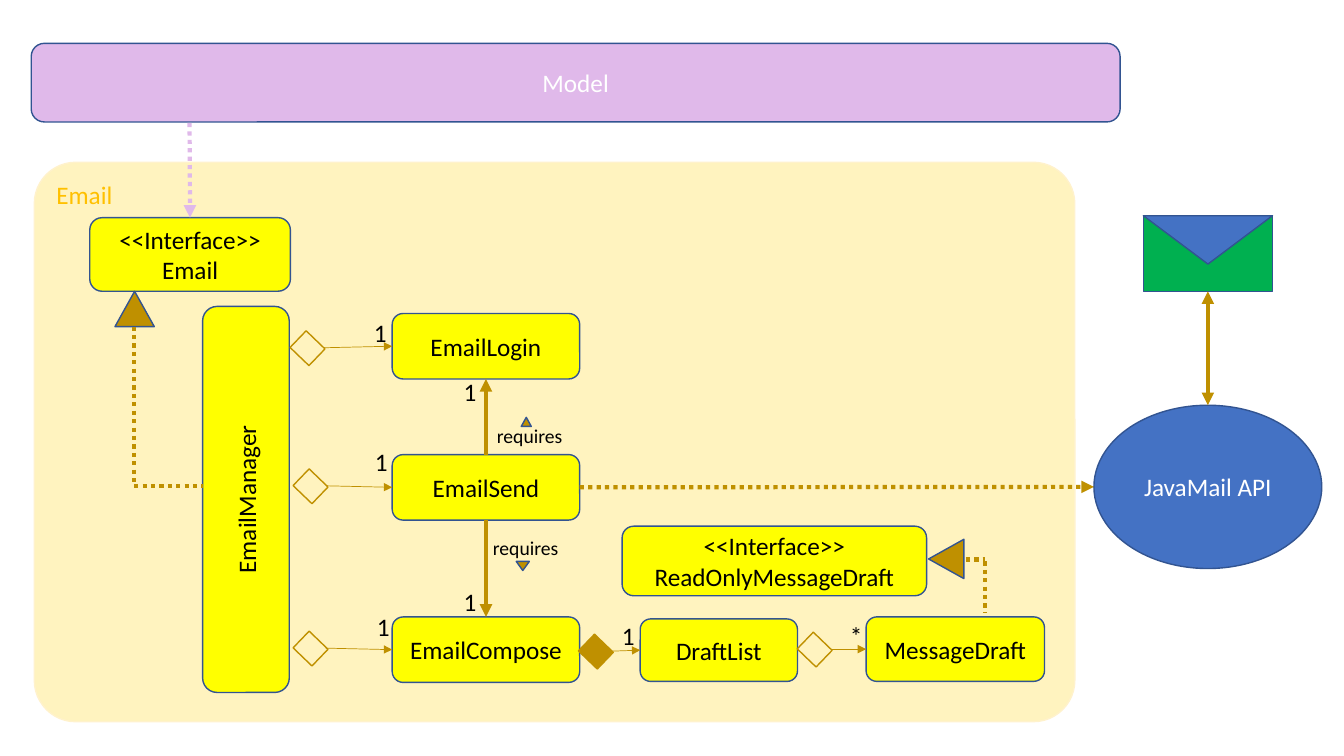
from lxml import etree
from pptx import Presentation
from pptx.dml.color import RGBColor
from pptx.enum.dml import MSO_LINE
from pptx.enum.shapes import MSO_CONNECTOR, MSO_SHAPE
from pptx.enum.text import MSO_ANCHOR, PP_ALIGN
from pptx.oxml.ns import qn
from pptx.util import Inches, Pt

ROUNDED = MSO_SHAPE.ROUNDED_RECTANGLE
RECTANGLE = MSO_SHAPE.RECTANGLE
TRIANGLE = MSO_SHAPE.ISOSCELES_TRIANGLE
OVAL = MSO_SHAPE.OVAL
STRAIGHT = MSO_CONNECTOR.STRAIGHT
DOTTED = MSO_LINE.ROUND_DOT
CENTER = PP_ALIGN.CENTER
LEFT_ALIGNED = PP_ALIGN.LEFT
MIDDLE = MSO_ANCHOR.MIDDLE
TOP_ANCHOR = MSO_ANCHOR.TOP
TOP, LEFT, BOTTOM, RIGHT = range(4)

COLORS = {
    name: RGBColor.from_string(value)
    for name, value in {
        "outline": "325491",
        "model": "E0B9EA",
        "panel": "FFF3BF",
        "panel_edge": "FFF2CC",
        "panel_title": "FFC000",
        "node": "FFFF00",
        "arrow": "BF9000",
        "envelope": "00B050",
        "external": "4472C4",
        "black": "000000",
        "white": "FFFFFF",
    }.items()
}
COLUMNS, ROWS = 13.33, 7.5
CELL = Inches(1)

presentation = Presentation()
presentation.slide_width = int(COLUMNS * CELL)
presentation.slide_height = int(ROWS * CELL)
slide = presentation.slides.add_slide(presentation.slide_layouts[6])


def add_node(frame, text="", kind=ROUNDED, fill="node", line="outline",
             color="black", rotation=0, parent=slide):
    shape = parent.shapes.add_shape(kind, *[int(length * CELL) for length in frame])
    shape.shadow.inherit = False
    shape.rotation = rotation
    shape.fill.solid()
    shape.fill.fore_color.rgb = COLORS[fill]
    shape.line.color.rgb = COLORS[line]
    shape.line.width = Pt(1)
    if text:
        shape.text_frame.text = text
        shape.text_frame.vertical_anchor = MIDDLE
        for paragraph in shape.text_frame.paragraphs:
            paragraph.alignment = CENTER
            paragraph.font.name = "Calibri"
            paragraph.font.size = Pt(18)
            paragraph.font.color.rgb = COLORS[color]
    return shape


def add_link(start, end, width=3, color="arrow", dotted=False, ends=("tailEnd",)):
    connector = slide.shapes.add_connector(STRAIGHT, 0, 0, 0, 0)
    (connector.begin_x, connector.begin_y), (connector.end_x, connector.end_y) = [
        (0, 0) if not isinstance(point[0], float)
        else [int(length * CELL) for length in point]
        for point in (start, end)
    ]
    if not isinstance(start[0], float):
        connector.begin_connect(*start)
    if not isinstance(end[0], float):
        connector.end_connect(*end)
    connector.line.color.rgb = COLORS[color]
    connector.line.width = Pt(width)
    if dotted:
        connector.line.dash_style = DOTTED
    line = connector.line._get_or_add_ln()
    for arrowhead in ends:
        etree.SubElement(line, qn("a:" + arrowhead), type="triangle")
    etree.SubElement(connector._element.spPr, qn("a:effectLst"))


add_node((0.31, 0.43, 10.8, 0.78), "Model", fill="model", color="white")
panel = add_node((0.34, 1.61, 10.32, 5.55), "Email", fill="panel",
                 line="panel_edge", color="panel_title")
panel.adjustments[0] = 0.074
panel.text_frame.vertical_anchor = TOP_ANCHOR
panel.text_frame.paragraphs[0].alignment = LEFT_ALIGNED

interface = add_node((0.89, 2.16, 1.99, 0.73), "<<Interface>>\nEmail")
manager = add_node((2.01, 3.04, 0.86, 3.83), "EmailManager")
manager.text_frame._txBody.bodyPr.set("vert", "vert270")
login, send, compose = [
    add_node((3.89, top, 1.86, 0.65), text)
    for text, top in [("EmailLogin", 3.11), ("EmailSend", 4.51), ("EmailCompose", 6.12)]
]
draft_list = add_node((6.35, 6.14, 1.56, 0.62), "DraftList")
message_draft = add_node((8.59, 6.12, 1.77, 0.64), "MessageDraft")
add_node((6.17, 5.22, 3.02, 0.69), "<<Interface>>\nReadOnlyMessageDraft")
java_mail = add_node((10.85, 4.02, 2.26, 1.62), "JavaMail API", OVAL,
                     fill="external", color="white")

for frame, rotation in [
    ((1.14, 2.89, 0.39, 0.35), 0),
    ((9.19, 5.37, 0.39, 0.35), 270),
    ((5.17, 4.14, 0.1, 0.09), 0),
    ((5.12, 5.57, 0.13, 0.09), 180),
]:
    add_node(frame, kind=TRIANGLE, fill="arrow", rotation=rotation)

for left, top, fill, start, target in [
    (2.92, 3.34, "panel", (3.21, 3.45), login),
    (2.95, 4.71, "panel", (3.24, 4.82), send),
    (2.95, 6.32, "panel", (3.23, 6.43), compose),
    (5.78, 6.35, "arrow", (6.06, 6.46), draft_list),
    (7.95, 6.33, "panel", (8.24, 6.44), message_draft),
]:
    add_node((left, top, 0.26, 0.23), kind=RECTANGLE, fill=fill,
             line="arrow", rotation=43.9)
    add_link(start, (target, LEFT), width=0.5)

envelope = slide.shapes.add_group_shape()
envelope_body = add_node((11.34, 2.14, 1.28, 0.75), kind=RECTANGLE,
                         fill="envelope", parent=envelope)
add_node((11.34, 2.14, 1.28, 0.48), kind=TRIANGLE, fill="external",
         rotation=180, parent=envelope)

add_link((1.88, 1.22), (interface, TOP), color="model", dotted=True)
for start, end in [
    ((1.33, 3.24), (1.33, 4.82)),
    ((1.33, 4.82), (2.01, 4.82)),
    ((9.58, 5.55), (9.77, 5.55)),
    ((9.77, 5.57), (9.77, 6.08)),
]:
    add_link(start, end, dotted=True, ends=())
add_link((send, TOP), (login, BOTTOM))
add_link((send, BOTTOM), (compose, TOP))
add_link((send, RIGHT), (10.85, 4.83), dotted=True)
add_link((envelope_body, BOTTOM), (java_mail, TOP), ends=("headEnd", "tailEnd"))

multiplicities = [
    ("1", 3.61, 3.1), ("1", 3.62, 4.38), ("1", 3.64, 6.02), ("1", 4.5, 3.68),
    ("1", 4.5, 5.77), ("1", 6.07, 6.11), ("*", 8.33, 6.1),
]
labels = [(*entry, 0.2, 0.4, 18) for entry in multiplicities]
labels += [("requires", left, top, 1.22, 0.34, 14) for left, top in [(4.83, 4.16), (4.79, 5.27)]]
for text, *frame, size in labels:
    label = slide.shapes.add_textbox(*[int(length * CELL) for length in frame])
    label.text_frame.word_wrap = True
    label.text_frame.text = text
    font = label.text_frame.paragraphs[0].runs[0].font
    font.name = "Calibri"
    font.size = Pt(size)
    font.color.rgb = COLORS["black"]

presentation.save("out.pptx")
